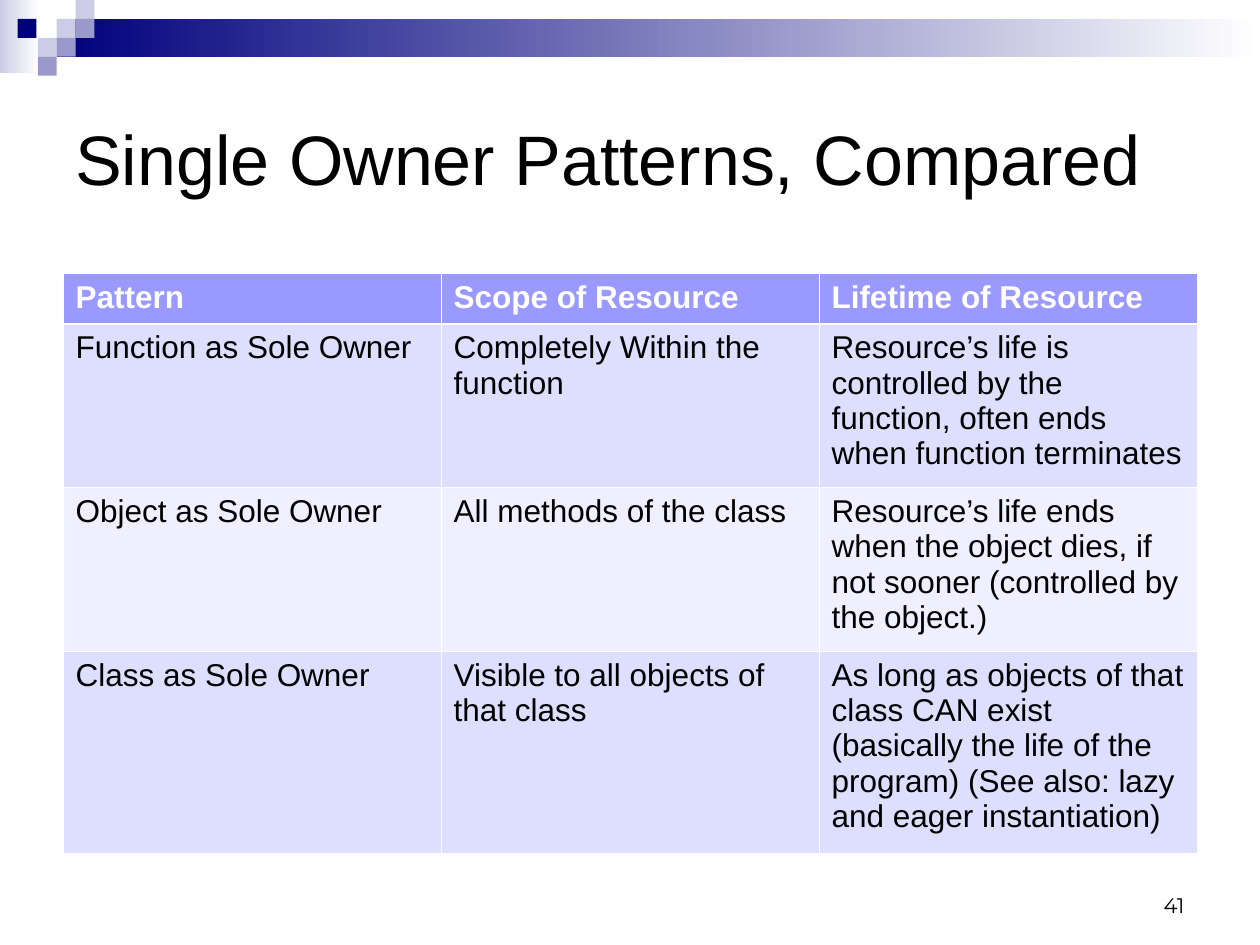
from lxml import etree
from pptx import Presentation
from pptx.dml.color import RGBColor
from pptx.enum import shapes, text
from pptx.oxml import ns
from pptx.util import Inches, Pt

TITLE = "Single Owner Patterns, Compared"
NUMBER = "41"
ROWS = [
    ("Pattern", "Scope of Resource", "Lifetime of Resource"),
    ("Function as Sole Owner", "Completely Within the function",
     "Resource’s life is controlled by the function, often ends when function terminates"),
    ("Object as Sole Owner", "All methods of the class",
     "Resource’s life ends when the object dies, if not sooner (controlled by the object.)"),
    ("Class as Sole Owner", "Visible to all objects of that class",
     "As long as objects of that class CAN exist (basically the life of the program) "
     "(See also: lazy and eager instantiation)"),
]
HEIGHTS = [0.4, 1.3, 1.3, 1.6]
HEAD, BANDS = "9999FF", ("DEDEFF", "EFEFFF")

NAVY, PALE, MID, WHITE, BLACK = "00007D", "CCCCE6", "9999CC", "FFFFFF", "000000"
FADES = [((0, 0, 0.31, 0.58), PALE), ((0.45, 0.15, 9.55, 0.3), NAVY)]
TILE = 0.15
TILES = [(3, 1, PALE), (4, 0, PALE), (4, 1, MID), (2, 2, PALE),
         (0.93, 1, NAVY), (3, 2, MID), (2, 3, MID)]  # column, row, colour


def color(code):
    return RGBColor.from_string(code)


def add_rect(slide, box):
    rect = slide.shapes.add_shape(shapes.MSO_SHAPE.RECTANGLE, *map(Inches, box))
    rect.shadow.inherit = False
    rect.line.fill.background()
    return rect


def add_fade(slide, box, code):
    """Rectangle fading from a colour on the left to white on the right."""
    fill = add_rect(slide, box).fill
    fill.gradient()
    fill.gradient_angle = 0
    for stop, (place, shade) in zip(fill.gradient_stops, [(0, code), (1, WHITE)]):
        stop.position = place
        stop.color.rgb = color(shade)


def add_tile(slide, col, row, code):
    fill = add_rect(slide, (col * TILE, row * TILE, TILE, TILE)).fill
    fill.solid()
    fill.fore_color.rgb = color(code)


def style(frame, size, face="Arial", code=BLACK, bold=False):
    for run in frame.paragraphs[0].runs:
        font = run.font
        font.size, font.name, font.bold = Pt(size), face, bold
        font.color.rgb = color(code)


def add_text(slide, box, words, anchor, align, size, face):
    frame = slide.shapes.add_textbox(*map(Inches, box)).text_frame
    frame.word_wrap = True
    frame.vertical_anchor = anchor
    frame.text = words
    frame.paragraphs[0].alignment = align
    style(frame, size, face)


def set_edges(cell, top, bottom):
    """White borders; top and bottom widths in points."""
    props = cell._tc.get_or_add_tcPr()
    widths = {"lnL": 0.45, "lnR": 0.45, "lnT": top, "lnB": bottom}
    for at, (tag, width) in enumerate(widths.items()):
        line = etree.Element(ns.qn("a:" + tag), w=str(Pt(width)))
        fill = etree.SubElement(line, ns.qn("a:solidFill"))
        etree.SubElement(fill, ns.qn("a:srgbClr"), val=WHITE)
        props.insert(at, line)


def add_grid(slide):
    box = map(Inches, (0.5, 2.17, 9, sum(HEIGHTS)))
    table = slide.shapes.add_table(len(ROWS), len(ROWS[0]), *box).table
    for r, (row, height) in enumerate(zip(ROWS, HEIGHTS)):
        table.rows[r].height = Inches(height)
        for c, words in enumerate(row):
            cell = table.cell(r, c)
            cell.text_frame.text = words
            style(cell.text_frame, 18, code=BLACK if r else WHITE, bold=r == 0)
            cell.fill.solid()
            cell.fill.fore_color.rgb = color(BANDS[(r - 1) % 2] if r else HEAD)
            set_edges(cell, 1.47 if r == 1 else 0.45, 1.47 if r == 0 else 0.45)


def main():
    deck = Presentation()
    deck.slide_width, deck.slide_height = Inches(10), Inches(7.5)
    slide = deck.slides.add_slide(deck.slide_layouts[6])
    for box, code in FADES:
        add_fade(slide, box, code)
    for tile in TILES:
        add_tile(slide, *tile)
    add_text(slide, (0.5, 0.5, 9, 1.5), TITLE, text.MSO_ANCHOR.MIDDLE,
             text.PP_ALIGN.LEFT, 40, "Arial")
    add_grid(slide)
    add_text(slide, (7.17, 6.83, 2.33, 0.5), NUMBER, text.MSO_ANCHOR.BOTTOM,
             text.PP_ALIGN.RIGHT, 12, "Montserrat")
    deck.save("out.pptx")


if __name__ == "__main__":
    main()
